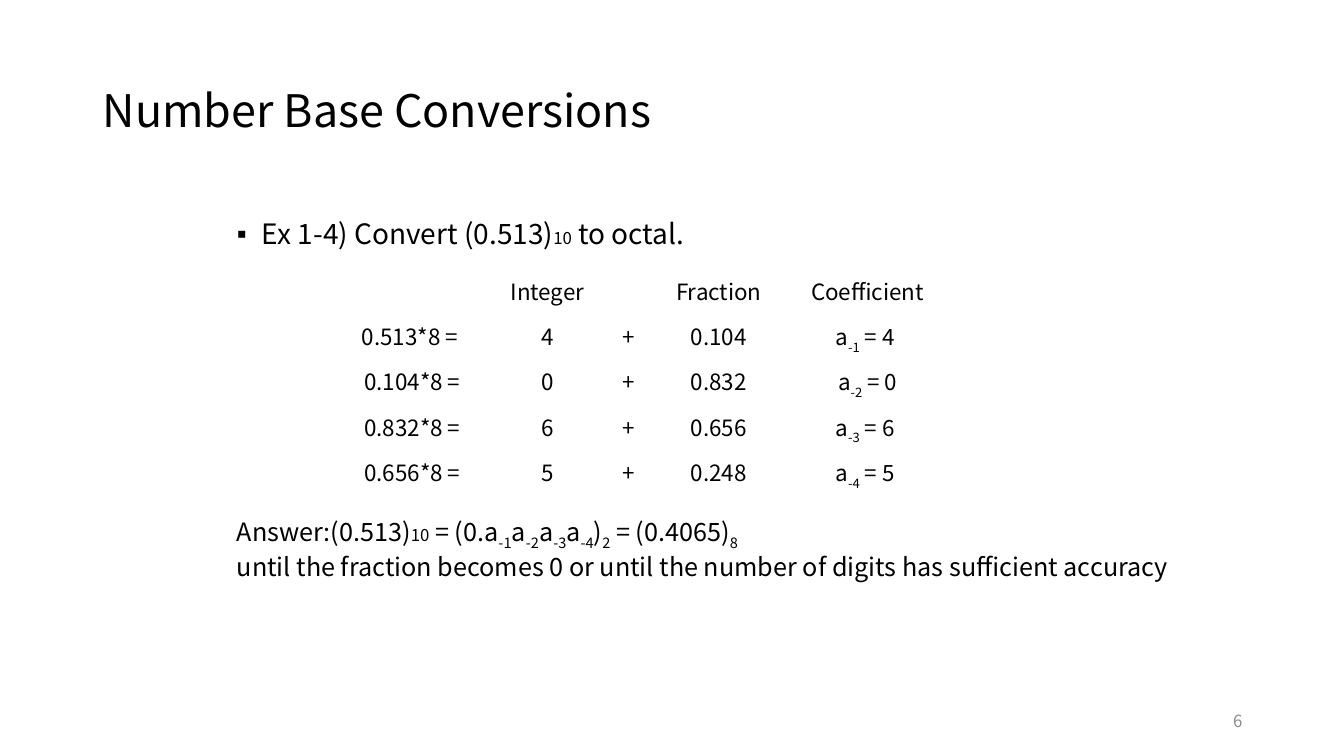
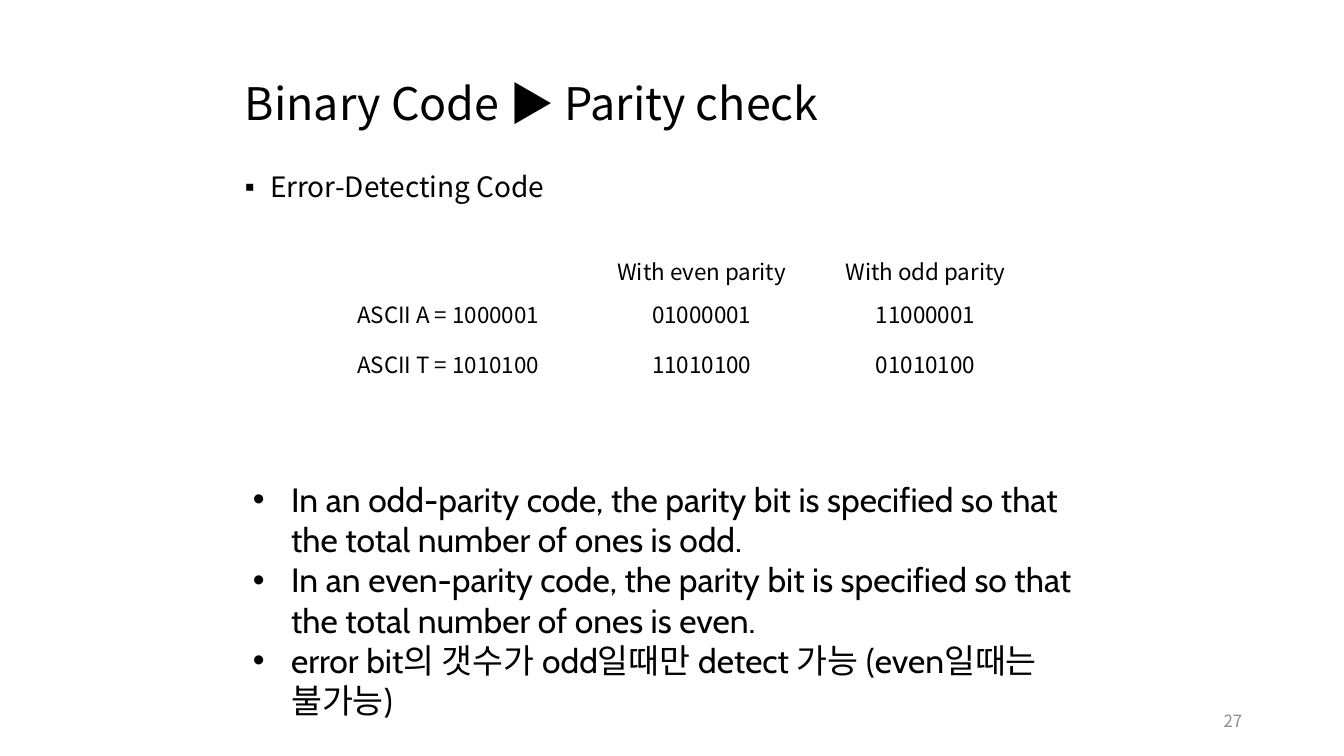
from lxml import etree
from pptx import Presentation
from pptx.dml.color import RGBColor
from pptx.enum.text import MSO_ANCHOR, PP_ALIGN
from pptx.oxml.ns import qn
from pptx.util import Inches, Pt

LEFT, CENTER, RIGHT, JUSTIFY = PP_ALIGN.LEFT, PP_ALIGN.CENTER, PP_ALIGN.RIGHT, PP_ALIGN.JUSTIFY
TOP, MIDDLE = MSO_ANCHOR.TOP, MSO_ANCHOR.MIDDLE

BLACK = RGBColor(0x00, 0x00, 0x00)
GRAY = RGBColor(0x8C, 0x8C, 0x8C)
SANS = "Noto Sans CJK KR"
NOTE_FONT = "Cabin"


def sub(text):
    """Lowered index."""
    return text, "sub"


def small(text):
    """Base written in small type on the baseline."""
    return text, "small"


def set_bullet(paragraph, mark, indent):
    props = paragraph._p.get_or_add_pPr()
    props.set("marL", str(Inches(indent)))
    props.set("indent", str(-Inches(indent)))
    etree.SubElement(props, qn("a:buFont")).set("typeface", "Arial")
    etree.SubElement(props, qn("a:buChar")).set("char", mark)


def write(paragraph, parts, size, font=SANS, color=BLACK, align=LEFT, spacing=None):
    """Fill a paragraph with a string or a list of strings and marked parts."""
    paragraph.alignment = align
    if spacing:
        paragraph.line_spacing = spacing
    paragraph.font.size = Pt(size)
    paragraph.font.name = font
    paragraph.font.color.rgb = color
    east_asian = etree.SubElement(paragraph.font._element, qn("a:ea"))
    east_asian.set("typeface", SANS)
    for part in [parts] if isinstance(parts, str) else parts:
        text, style = (part, None) if isinstance(part, str) else part
        run = paragraph.add_run()
        run.text = text
        if style == "small":
            run.font.size = Pt(12)
        elif style == "sub":
            run._r.get_or_add_rPr().set("baseline", "-30000")


def add_frame(slide, box, anchor=TOP):
    frame = slide.shapes.add_textbox(*map(Inches, box)).text_frame
    frame.word_wrap = True
    frame.vertical_anchor = anchor
    return frame


# Parts shared by the slides
def add_title(slide, box, text):
    write(add_frame(slide, box, MIDDLE).paragraphs[0], text, 32, spacing=0.9)


def add_page_number(slide, number):
    frame = add_frame(slide, (9.42, 6.95, 3, 0.4), MIDDLE)
    write(frame.paragraphs[0], number, 12, color=GRAY, align=RIGHT)


def add_topic(slide, box, parts):
    paragraph = add_frame(slide, box).paragraphs[0]
    set_bullet(paragraph, "▪", 0.25)
    write(paragraph, parts, 20, spacing=0.9)


def add_plain_table(slide, left, top, widths, heights, rows):
    table = slide.shapes.add_table(
        len(heights), len(widths), Inches(left), Inches(top),
        Inches(sum(widths)), Inches(sum(heights))).table
    table.first_row = table.horz_banding = False
    for column, width in zip(table.columns, widths):
        column.width = Inches(width)
    for row, height, entries in zip(table.rows, heights, rows):
        row.height = Inches(height)
        for cell, entry in zip(row.cells, entries):
            cell.fill.background()
            if entry:
                write(cell.text_frame.paragraphs[0], entry, 16, align=CENTER)


def add_answer(slide, box):
    frame = add_frame(slide, box)
    digits = [part for i in range(1, 5) for part in ("a", sub(f"-{i}"))]
    result = ["Answer:(0.513)", small("10"), " = (0.", *digits,
              ")", sub("2"), " = (0.4065)", sub("8")]
    write(frame.paragraphs[0], result, 18, align=JUSTIFY)
    write(frame.add_paragraph(),
          "until the fraction becomes 0 or until the number of digits has sufficient accuracy", 18)


def add_notes_list(slide, box, notes):
    frame = add_frame(slide, box)
    for i, note in enumerate(notes):
        paragraph = frame.add_paragraph() if i else frame.paragraphs[0]
        set_bullet(paragraph, "•", 0.38)
        write(paragraph, note, 24, font=NOTE_FONT)


# Slides
def build_conversion_slide(slide):
    add_page_number(slide, "6")
    add_title(slide, (0.92, 0.4, 11.5, 1.45), "Number Base Conversions")
    add_topic(slide, (2.25, 2.14, 8.75, 0.5),
              ["Ex 1-4) Convert (0.513)", small("10"), " to octal."])
    steps = [("0.513*8 = ", "4", "0.104", " "), ("0.104*8 =", "0", "0.832", ""),
             ("0.832*8 =", "6", "0.656", " "), ("0.656*8 =", "5", "0.248", " ")]
    rows = [("", "Integer", "", "Fraction", "Coefficient")]
    for i, (product, integer, fraction, tail) in enumerate(steps, 1):
        coefficient = ["a", sub(f"-{i}"), f" = {integer}{tail}"]
        rows.append((product, integer, "+", fraction, coefficient))
    add_plain_table(slide, 3.33, 2.67, [1.52, 1.16, 0.45, 1.34, 1.61], [0.45] * 5, rows)
    add_answer(slide, (2.25, 5.07, 9.64, 0.71))


def build_parity_slide(slide):
    add_page_number(slide, "27")
    add_title(slide, (2.33, 0.68, 8.5, 0.75), "Binary Code ▶ Parity check")
    add_topic(slide, (2.33, 1.67, 9, 0.5), "Error-Detecting Code")
    add_plain_table(slide, 3.04, 2.48, [2.81, 2.22, 2.22], [0.42, 0.5, 0.44], [
        ("", "With even parity", "With odd parity"),
        ("ASCII A = 1000001", "01000001", "11000001"),
        ("ASCII T = 1010100", "11010100", "01010100"),
    ])
    add_notes_list(slide, (2.41, 4.7, 8.5, 2.53), [
        "In an odd-parity code, the parity bit is specified so that the total number of ones is odd.",
        "In an even-parity code, the parity bit is specified so that the total number of ones is even.",
        "error bit의 갯수가 odd일때만 detect 가능 (even일때는 불가능)",
    ])


def main():
    deck = Presentation()
    deck.slide_width, deck.slide_height = Inches(13.33), Inches(7.5)
    for build in (build_conversion_slide, build_parity_slide):
        build(deck.slides.add_slide(deck.slide_layouts[6]))
    deck.save("out.pptx")


if __name__ == "__main__":
    main()
